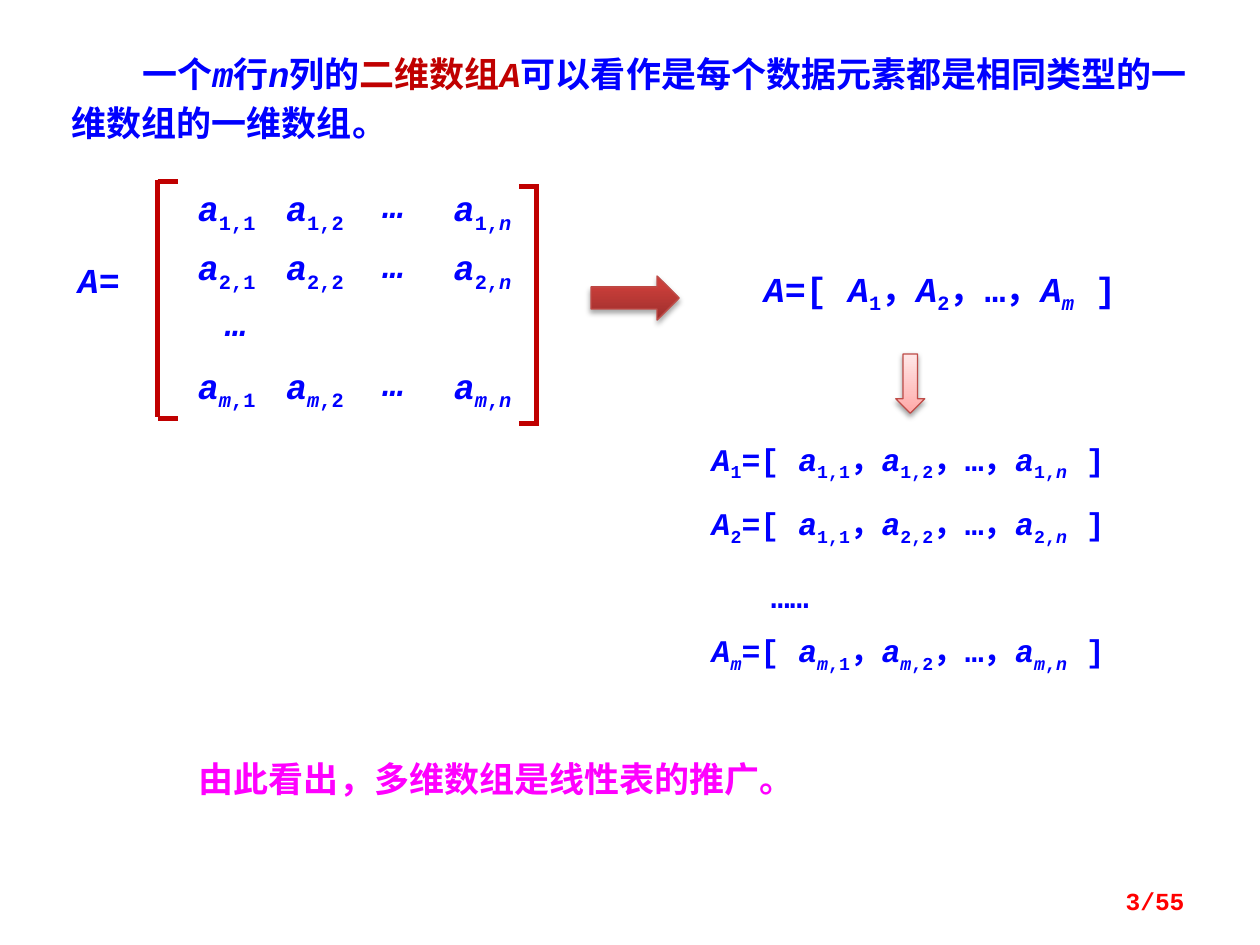
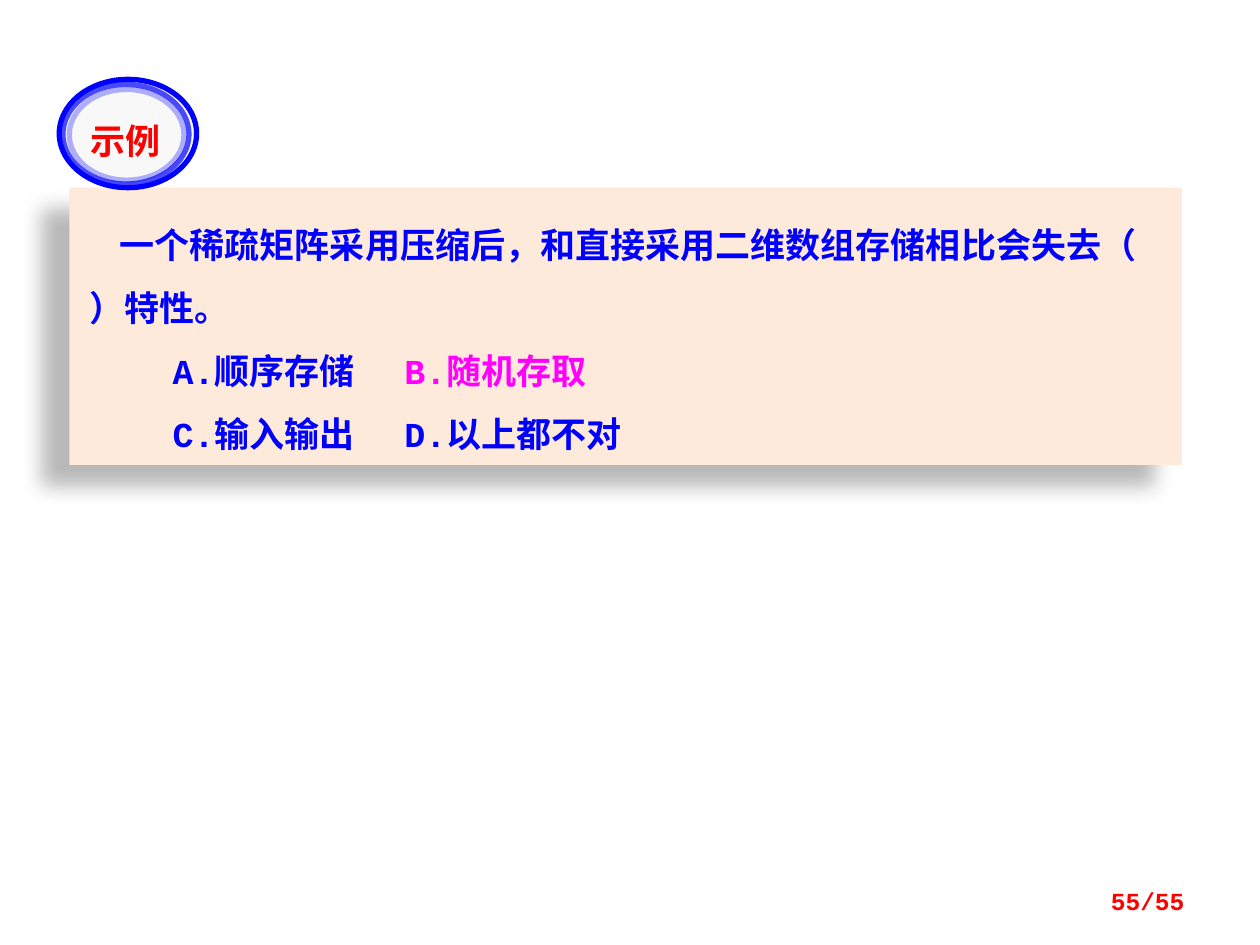
"""Builds two slides on two-dimensional arrays and sparse matrices."""
from dataclasses import dataclass
from itertools import groupby

from pptx import Presentation
from pptx.dml.color import RGBColor
from pptx.enum.shapes import MSO_CONNECTOR, MSO_SHAPE
from pptx.enum.text import MSO_ANCHOR, PP_ALIGN
from pptx.oxml.ns import qn
from pptx.util import Inches, Pt
from lxml.etree import SubElement


@dataclass(frozen=True)
class Theme:
    """Colours, fonts and type sizes of the deck."""
    blue: str = "0000FF"
    crimson: str = "C00000"
    magenta: str = "FF00FF"
    red: str = "FF0000"
    outline: str = "BF4C48"
    peach: str = "FDEADA"
    pale: str = "F8F8F8"
    dark_arrow: tuple = ((0, "9C2F2D"), (80, "CB3E3A"), (100, "CE3B37"))
    light_arrow: tuple = ((0, "FFA6A5"), (35, "FFC0BF"), (100, "FFE7E7"))
    font: str = "Courier New"
    label_font: str = "Noto Sans CJK JP"
    body: int = 20
    small: int = 18
    footer: int = 14


def marked(text):
    """Yield (piece, italic, subscript); braces enclose subscripts."""
    depth, marks = 0, []
    for char in text:
        if char in "{}":
            depth = char == "{"
        else:
            italic = char.isascii() and char.isalpha() or text == "…"
            marks.append((char, italic, bool(depth)))
    for (italic, subscript), group in groupby(marks, key=lambda mark: mark[1:]):
        yield "".join(mark[0] for mark in group), italic, subscript


class SlideWriter:
    """Holds the theme and the current slide."""

    def __init__(self, deck, theme):
        self.deck, self.theme, self.page = deck, theme, None

    def new_page(self, number):
        """Start a blank slide with its page number."""
        self.page = self.deck.slides.add_slide(self.deck.slide_layouts[6])
        self.text(7.17, 6.95, 2.33, 0.4, number, size=self.theme.footer,
                  color=self.theme.red, align=PP_ALIGN.RIGHT).vertical_anchor = MSO_ANCHOR.MIDDLE

    def style(self, paragraph, size=None, color=None, font=None):
        """Set the font that all runs of a paragraph share."""
        face = font or self.theme.font
        paragraph.font.size = Pt(size or self.theme.body)
        paragraph.font.bold = True
        paragraph.font.color.rgb = RGBColor.from_string(color or self.theme.blue)
        paragraph.font.name = face
        defaults = paragraph._p.pPr.find(qn("a:defRPr"))
        SubElement(defaults, qn("a:ea")).set("typeface", face)

    def span(self, paragraph, text, color=None):
        """Add one run, coloured if asked."""
        span = paragraph.add_run()
        span.text = text
        if color:
            span.font.color.rgb = RGBColor.from_string(color)
        return span

    def formula(self, paragraph, text, color=None):
        """Add runs with italic letters and lowered subscripts."""
        for piece, italic, subscript in marked(text):
            span = self.span(paragraph, piece, color)
            span.font.italic = italic
            if subscript:
                span._r.get_or_add_rPr().set("baseline", "-25000")

    def text(self, left, top, width, height, text, align=PP_ALIGN.LEFT, inset=None, **font):
        """Add a one-paragraph text box and return its frame."""
        box = self.page.shapes.add_textbox(Inches(left), Inches(top), Inches(width), Inches(height))
        frame = box.text_frame
        frame.word_wrap = True
        if inset is not None:
            frame.margin_left = frame.margin_right = Inches(inset)
            frame.margin_top = frame.margin_bottom = Inches(inset)
        paragraph = frame.paragraphs[0]
        paragraph.alignment = align
        self.style(paragraph, **font)
        self.formula(paragraph, text)
        return frame

    def shape(self, kind, left, top, width, height, fill=None, line=None, weight=0.75, opacity=100):
        """Add a preset shape with a plain or gradient fill."""
        shape = self.page.shapes.add_shape(kind, Inches(left), Inches(top), Inches(width), Inches(height))
        shape.shadow.inherit = False
        if isinstance(fill, tuple):
            shape.fill.gradient()
            shape.fill.gradient_angle = 90
            stops = shape._element.spPr.find(".//" + qn("a:gsLst"))
            stops.clear()
            for position, color in fill:
                stop = SubElement(stops, qn("a:gs"), pos=str(position * 1000))
                SubElement(stop, qn("a:srgbClr"), val=color)
        elif fill:
            shape.fill.solid()
            shape.fill.fore_color.rgb = RGBColor.from_string(fill)
        else:
            shape.fill.background()
        if line:
            shape.line.color.rgb = RGBColor.from_string(line)
            shape.line.width = Pt(weight)
            color = shape.line._ln.find(".//" + qn("a:srgbClr"))
            SubElement(color, qn("a:alpha"), val=str(opacity * 1000))
        else:
            shape.line.fill.background()
        return shape

    def shadow(self, shape, opacity, blur, distance, angle):
        """Give a shape an outer black shadow."""
        effects = shape._element.spPr.find(qn("a:effectLst"))
        outer = SubElement(effects, qn("a:outerShdw"), blurRad=str(Pt(blur)), dist=str(Pt(distance)),
                           dir=str(angle * 60000), algn="ctr", rotWithShape="0")
        color = SubElement(outer, qn("a:srgbClr"), val="000000")
        SubElement(color, qn("a:alpha"), val=str(opacity * 1000))

    def line(self, x1, y1, x2, y2):
        """Add a straight bracket stroke."""
        stroke = self.page.shapes.add_connector(
            MSO_CONNECTOR.STRAIGHT, Inches(x1), Inches(y1), Inches(x2), Inches(y2))
        stroke.line.color.rgb = RGBColor.from_string(self.theme.crimson)
        stroke.line.width = Pt(3)
        SubElement(stroke._element.spPr, qn("a:effectLst"))

    def bracket(self, spine, hook_start, top, bottom):
        """Add a square bracket from a spine and two hooks."""
        self.line(spine, top, spine, bottom)
        for y in (top + 0.01, bottom + 0.01):
            self.line(hook_start, y, hook_start + 0.16, y)

    def matrix(self):
        """Add the bracketed m by n matrix."""
        center = {"align": PP_ALIGN.CENTER}
        self.text(0.47, 2, 0.63, 0.44, "A=", **center)
        self.bracket(1.25, 1.25, 1.43, 3.31)
        self.bracket(4.26, 4.12, 1.47, 3.35)
        for position, row in ((0, "1"), (1, "2"), (3, "m")):
            top = 1.48 + 0.47 * position
            for left, column in ((1.41, "1"), (2.11, "2"), (3.44, "n")):
                self.text(left, top, 0.78, 0.34, f"a{{{row},{column}}}", inset=0, **center)
            self.text(2.81, top - 0.02, 0.63, 0.34, "…", inset=0, **center)
        self.text(1.56, 2.39, 0.63, 0.34, "…", inset=0, **center)


def array_page(writer):
    """Show a matrix as a list of lists."""
    theme = writer.theme
    writer.new_page("3/55")
    intro = writer.text(0.47, 0.31, 9.06, 0.89, "一个m行n列的").paragraphs[0]
    intro.line_spacing = Pt(28)
    intro._p.get_or_add_pPr().set("indent", str(Inches(0.56)))
    writer.formula(intro, "二维数组A", theme.crimson)
    writer.formula(intro, "可以看作是每个数据元素都是相同类型的一维数组的一维数组。")
    writer.matrix()

    arrow = writer.shape(MSO_SHAPE.RIGHT_ARROW, 4.69, 2.19, 0.7, 0.35, theme.dark_arrow, theme.outline)
    writer.shadow(arrow, 35, 3.1, 1.8, 90)
    writer.text(5.47, 2.07, 3.98, 0.44, "A=[ A{1}，A{2}，…，A{m} ]".replace("=", "="), align=PP_ALIGN.CENTER)
    arrow = writer.shape(MSO_SHAPE.DOWN_ARROW, 7.11, 2.81, 0.23, 0.47, theme.light_arrow, theme.outline)
    writer.shadow(arrow, 38, 3.1, 1.6, 90)

    for top, row, first in ((3.44, "1", "1"), (3.95, "2", "1"), (4.96, "m", "m")):
        items = f"A{{{row}}}=[ a{{{first},1}}，a{{{row},2}}，…，a{{{row},n}} ]"
        writer.text(5.55, top, 3.98, 0.4, items, size=theme.small)
    writer.text(6.02, 4.53, 1.09, 0.4, "……", size=theme.small)
    summary = writer.text(1.48, 5.86, 5, 0.54, "由此看出，多维数组是线性表的推广。", color=theme.magenta)
    summary.paragraphs[0].line_spacing = 1.3


def example_page(writer):
    """Show a question with four choices."""
    theme = writer.theme
    writer.new_page("55/55")
    panel = writer.shape(MSO_SHAPE.RECTANGLE, 0.55, 1.49, 8.83, 2.2, theme.peach)
    writer.shadow(panel, 28, 11.8, 19.7, 141)
    frame = panel.text_frame
    frame.word_wrap = True
    frame.vertical_anchor = MSO_ANCHOR.TOP
    frame.margin_left, frame.margin_right = Inches(0.16), Inches(0.1)
    frame.margin_top = frame.margin_bottom = Inches(0.12)
    question = (
        (0.24, (("一个稀疏矩阵采用压缩后，和直接采用二维数组存储相比会失去（  ）特性。", theme.blue),)),
        (0.66, (("A.顺序存储\t", theme.blue), ("B.随机存取", theme.magenta))),
        (0.66, (("C.输入输出\tD.以上都不对", theme.blue),)),
    )
    for index, (indent, spans) in enumerate(question):
        paragraph = frame.add_paragraph() if index else frame.paragraphs[0]
        paragraph.alignment = PP_ALIGN.LEFT
        paragraph.line_spacing = 1.5
        properties = paragraph._p.get_or_add_pPr()
        properties.set("indent", str(Inches(indent)))
        tabs = SubElement(properties, qn("a:tabLst"))
        SubElement(tabs, qn("a:tab"), pos=str(Inches(5)), algn="l")
        writer.style(paragraph)
        for text, color in spans:
            writer.span(paragraph, text, color)

    rings = ((0.47, 0.63, 1.09, 0.86, theme.pale, 100),
             (0.5, 0.67, 1, 0.79, None, 70),
             (0.55, 0.71, 0.91, 0.72, None, 30))
    for left, top, width, height, fill, opacity in rings:
        writer.shape(MSO_SHAPE.OVAL, left, top, width, height, fill, theme.blue, 3, opacity)
    writer.text(0.52, 0.9, 0.96, 0.39, "示例", align=PP_ALIGN.CENTER, color=theme.red, font=theme.label_font)


def main():
    """Build and save the deck."""
    deck = Presentation()
    deck.slide_width, deck.slide_height = Inches(10), Inches(7.5)
    writer = SlideWriter(deck, Theme())
    array_page(writer)
    example_page(writer)
    deck.save("out.pptx")


if __name__ == "__main__":
    main()
